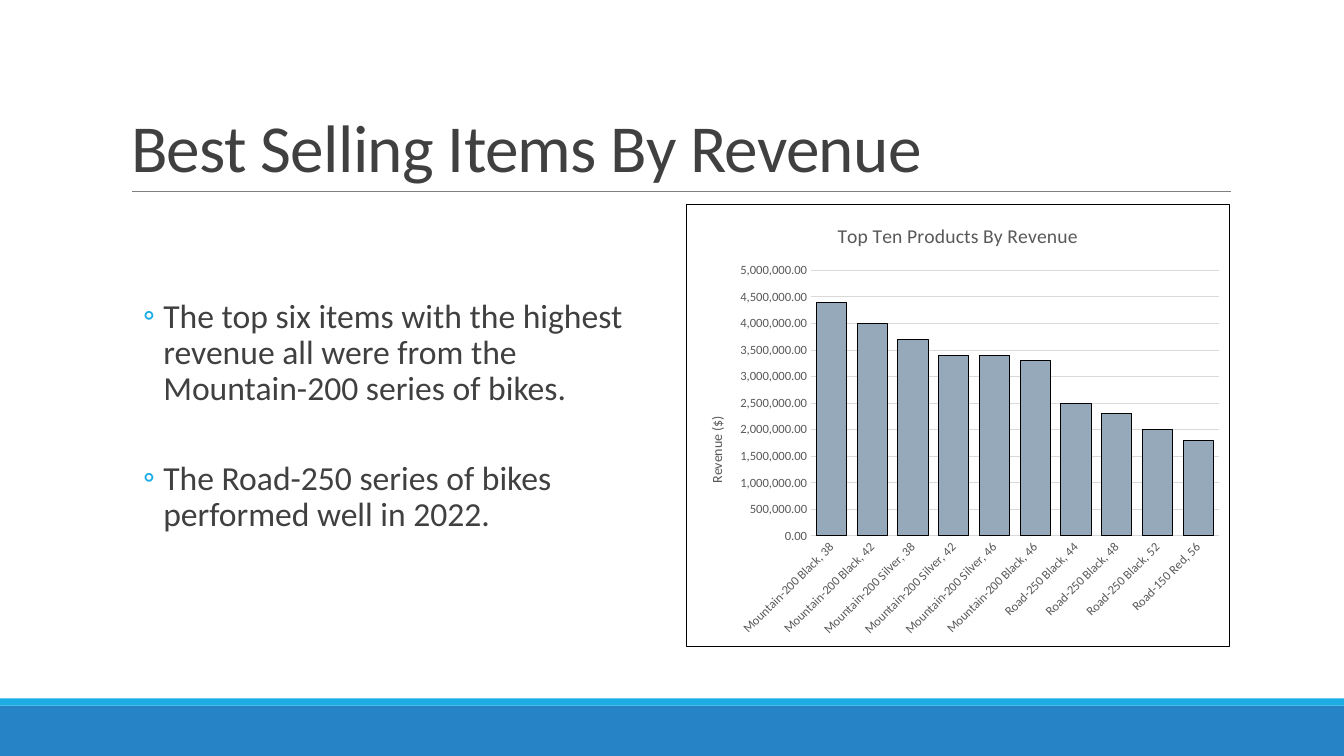
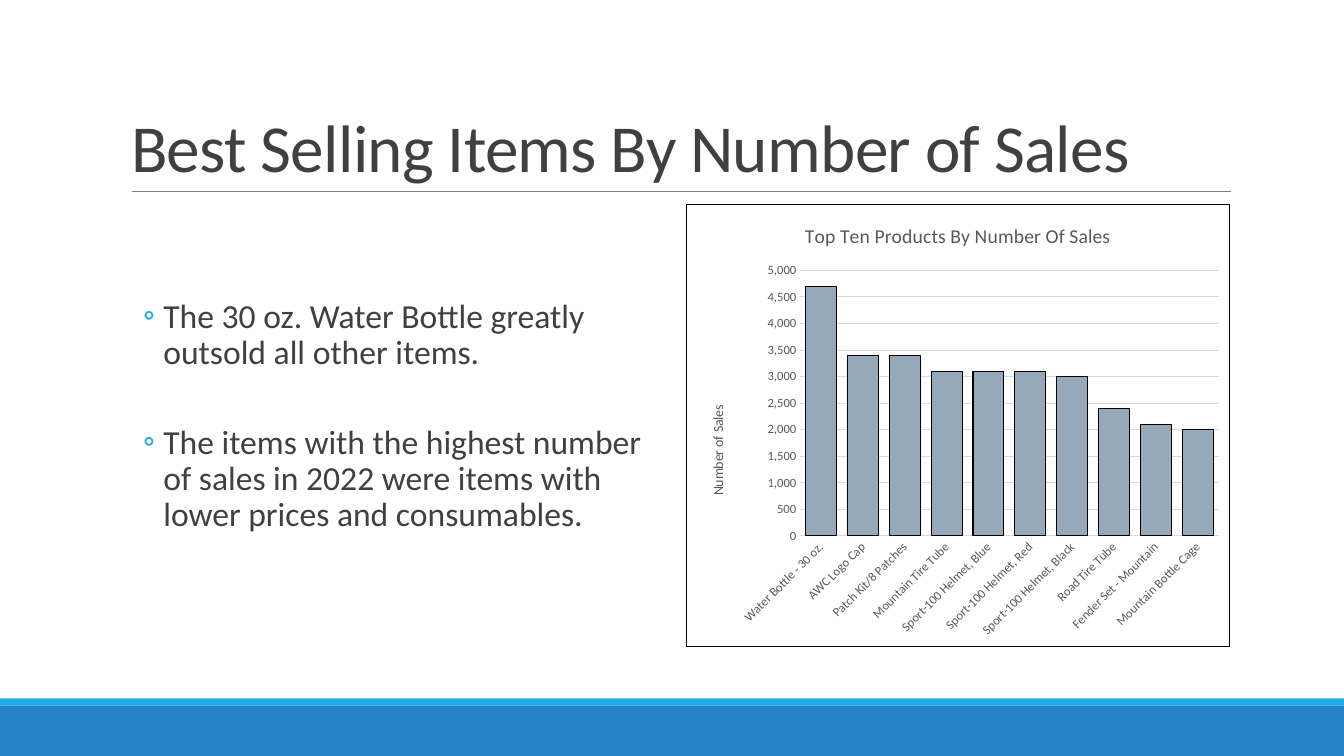
from dataclasses import dataclass

from lxml import etree
from pptx import Presentation
from pptx.chart.data import CategoryChartData
from pptx.dml.color import RGBColor
from pptx.enum import chart as ch, shapes, text
from pptx.oxml import parse_xml
from pptx.oxml.ns import nsdecls, qn
from pptx.util import Inches, Pt


@dataclass(frozen=True)
class Theme:
    font: str = "Calibri"
    ink: str = "404040"
    band: str = "2683C6"
    accent: str = "1CADE4"
    rule: str = "808080"
    chart_text: str = "595959"
    grid: str = "D9D9D9"
    bar: str = "96A9BA"
    border: str = "000000"
    paper: str = "FFFFFF"
    title_size: int = 48
    body_size: int = 24
    chart_title_size: int = 14
    axis_title_size: int = 10
    tick_size: int = 9


T = Theme()
SLIDE_W, SLIDE_H = 13.33, 7.5
TITLE_BOX = (1.2, 0.31, 11, 1.59)
BODY_BOX = (1.2, 2.97, 5.4, 3.45)
CHART_BOX = (6.8, 2.02, 5.4, 4.4)
BANDS = [(7, 0.5, T.band), (6.93, 0.07, T.accent)]  # top, height, colour

# Content: plot_left is the left edge of the bars as a share of the chart width
SLIDES = [
    dict(
        title="Best Selling Items By Revenue",
        bullets=[
            "The top six items with the highest revenue all were from the "
            "Mountain-200 series of bikes.",
            "The Road-250 series of bikes performed well in 2022.",
        ],
        chart_title="Top Ten Products By Revenue",
        axis_title="Revenue ($)",
        number_format="#,##0.00",
        axis_max=5_000_000,
        plot_left=0.23,
        data=[
            ("Mountain-200 Black, 38", 4_400_000),
            ("Mountain-200 Black, 42", 4_000_000),
            ("Mountain-200 Silver, 38", 3_700_000),
            ("Mountain-200 Silver, 42", 3_400_000),
            ("Mountain-200 Silver, 46", 3_400_000),
            ("Mountain-200 Black, 46", 3_300_000),
            ("Road-250 Black, 44", 2_500_000),
            ("Road-250 Black, 48", 2_300_000),
            ("Road-250 Black, 52", 2_000_000),
            ("Road-150 Red, 56", 1_800_000),
        ],
    ),
    dict(
        title="Best Selling Items By Number of Sales",
        bullets=[
            "The 30 oz. Water Bottle greatly outsold all other items.",
            "The items with the highest number of sales in 2022 were items "
            "with lower prices and consumables.",
        ],
        chart_title="Top Ten Products By Number Of Sales",
        axis_title="Number of Sales",
        number_format="#,##0",
        axis_max=5_000,
        plot_left=0.21,
        data=[
            ("Water Bottle - 30 oz.", 4_700),
            ("AWC Logo Cap", 3_400),
            ("Patch Kit/8 Patches", 3_400),
            ("Mountain Tire Tube", 3_100),
            ("Sport-100 Helmet, Blue", 3_100),
            ("Sport-100 Helmet, Red", 3_100),
            ("Sport-100 Helmet, Black", 3_000),
            ("Road Tire Tube", 2_400),
            ("Fender Set - Mountain", 2_100),
            ("Mountain Bottle Cage", 2_000),
        ],
    ),
]


def rgb(value):
    return RGBColor.from_string(value)


def box(values):
    return [Inches(v) for v in values]


def style_font(font, size, color):
    font.name, font.size, font.bold = T.font, Pt(size), False
    font.color.rgb = rgb(color)


def style_line(line, color, width):
    line.color.rgb = rgb(color)
    line.width = Pt(width)


def add_run(p, content, size, color):
    r = p.add_run()
    r.text = content
    style_font(r.font, size, color)
    return r


# Shared slide frame: bands, rule and title
def add_frame(s, title):
    for top, height, color in BANDS:
        sp = s.shapes.add_shape(shapes.MSO_SHAPE.RECTANGLE,
                                *box((0, top, SLIDE_W, height)))
        sp.shadow.inherit = False
        sp.fill.solid()
        sp.fill.fore_color.rgb = rgb(color)
        sp.line.fill.background()

    rule = s.shapes.add_connector(shapes.MSO_CONNECTOR.STRAIGHT,
                                  *box((1.31, 1.9, 12.21, 1.9)))
    style_line(rule.line, T.rule, 0.5)
    etree.SubElement(rule.element.spPr, qn("a:effectLst"))

    sp = s.shapes.title
    sp.left, sp.top, sp.width, sp.height = box(TITLE_BOX)
    tf = sp.text_frame
    tf.auto_size = text.MSO_AUTO_SIZE.NONE
    tf.vertical_anchor = text.MSO_ANCHOR.BOTTOM
    p = tf.paragraphs[0]
    p.alignment = text.PP_ALIGN.LEFT
    p.line_spacing = 0.85
    r = add_run(p, title, T.title_size, T.ink)
    r.font._element.set("spc", "-50")


# Bulleted text on the left
def add_bullets(s, bullets):
    tf = s.shapes.add_textbox(*box(BODY_BOX)).text_frame
    tf.word_wrap = True
    tf.margin_left = tf.margin_right = tf.margin_top = tf.margin_bottom = 0
    for i, bullet in enumerate(bullets):
        p = tf.add_paragraph() if i else tf.paragraphs[0]
        p.line_spacing = 0.9
        p.space_before = Pt(38 if i else 0)
        add_run(p, bullet, T.body_size, T.ink)
        pPr = p._p.get_or_add_pPr()
        pPr.set("marL", str(Inches(0.42)))
        pPr.set("indent", str(Inches(-0.2)))
        color = etree.SubElement(pPr, qn("a:buClr"))
        etree.SubElement(color, qn("a:srgbClr"), val=T.accent)
        etree.SubElement(pPr, qn("a:buFont"), typeface=T.font)
        etree.SubElement(pPr, qn("a:buChar"), char="◦")


def set_title(owner, content, size):
    owner.has_title = True
    tf = getattr(owner, "chart_title", None) or owner.axis_title
    tf = tf.text_frame
    add_run(tf.paragraphs[0], content, size, T.chart_text)
    return tf


def rotate(body, degrees):
    body.set("rot", str(degrees * 60000))
    body.set("vert", "horz")


def place_plot(chart, left):
    area = chart.element.find(".//" + qn("c:plotArea"))
    for old in area.findall(qn("c:layout")):
        area.remove(old)
    layout = etree.Element(qn("c:layout"))
    manual = etree.SubElement(layout, qn("c:manualLayout"))
    for tag, value in [("layoutTarget", "inner"), ("xMode", "edge"),
                       ("yMode", "edge"), ("x", left), ("y", 0.15),
                       ("w", round(0.98 - left, 2)), ("h", 0.6)]:
        etree.SubElement(manual, qn("c:" + tag), val=str(value))
    area.insert(0, layout)


def frame_chart(chart):
    chart.element.find(qn("c:chart")).addnext(parse_xml(
        f'<c:spPr {nsdecls("c", "a")}>'
        f'<a:solidFill><a:srgbClr val="{T.paper}"/></a:solidFill>'
        f'<a:ln w="{Pt(0.75)}"><a:solidFill><a:srgbClr val="{T.border}"/>'
        '</a:solidFill></a:ln></c:spPr>'))


# Column chart on the right
def add_column_chart(s, spec_):
    names, values = zip(*spec_["data"])
    data = CategoryChartData()
    data.categories = names
    data.add_series("Series 1", values)
    chart = s.shapes.add_chart(ch.XL_CHART_TYPE.COLUMN_CLUSTERED,
                               *box(CHART_BOX), data).chart
    style_font(chart.font, T.axis_title_size, T.border)
    chart.has_legend = False
    set_title(chart, spec_["chart_title"], T.chart_title_size)

    plot = chart.plots[0]
    plot.gap_width, plot.overlap, plot.vary_by_categories = 35, -27, False
    series = plot.series[0]
    series.format.fill.solid()
    series.format.fill.fore_color.rgb = rgb(T.bar)
    style_line(series.format.line, T.border, 0.75)

    cat, val = chart.category_axis, chart.value_axis
    for axis in (cat, val):
        axis.major_tick_mark = axis.minor_tick_mark = ch.XL_TICK_MARK.NONE
        style_font(axis.tick_labels.font, T.tick_size, T.chart_text)
    style_line(cat.format.line, T.grid, 0.75)
    rotate(cat._element.find(qn("c:txPr")).find(qn("a:bodyPr")), -45)

    val.format.line.fill.background()
    style_line(val.major_gridlines.format.line, T.grid, 0.75)
    val.minimum_scale, val.maximum_scale = 0, spec_["axis_max"]
    val.major_unit = spec_["axis_max"] / 10
    val.tick_labels.number_format = spec_["number_format"]
    val.tick_labels.number_format_is_linked = False
    tf = set_title(val, spec_["axis_title"], T.axis_title_size)
    rotate(tf._txBody.find(qn("a:bodyPr")), -90)

    place_plot(chart, spec_["plot_left"])
    frame_chart(chart)


def main():
    prs = Presentation()
    prs.slide_width, prs.slide_height = box((SLIDE_W, SLIDE_H))
    for content in SLIDES:
        s = prs.slides.add_slide(prs.slide_layouts[5])
        add_frame(s, content["title"])
        add_bullets(s, content["bullets"])
        add_column_chart(s, content)
    prs.save("out.pptx")


if __name__ == "__main__":
    main()
